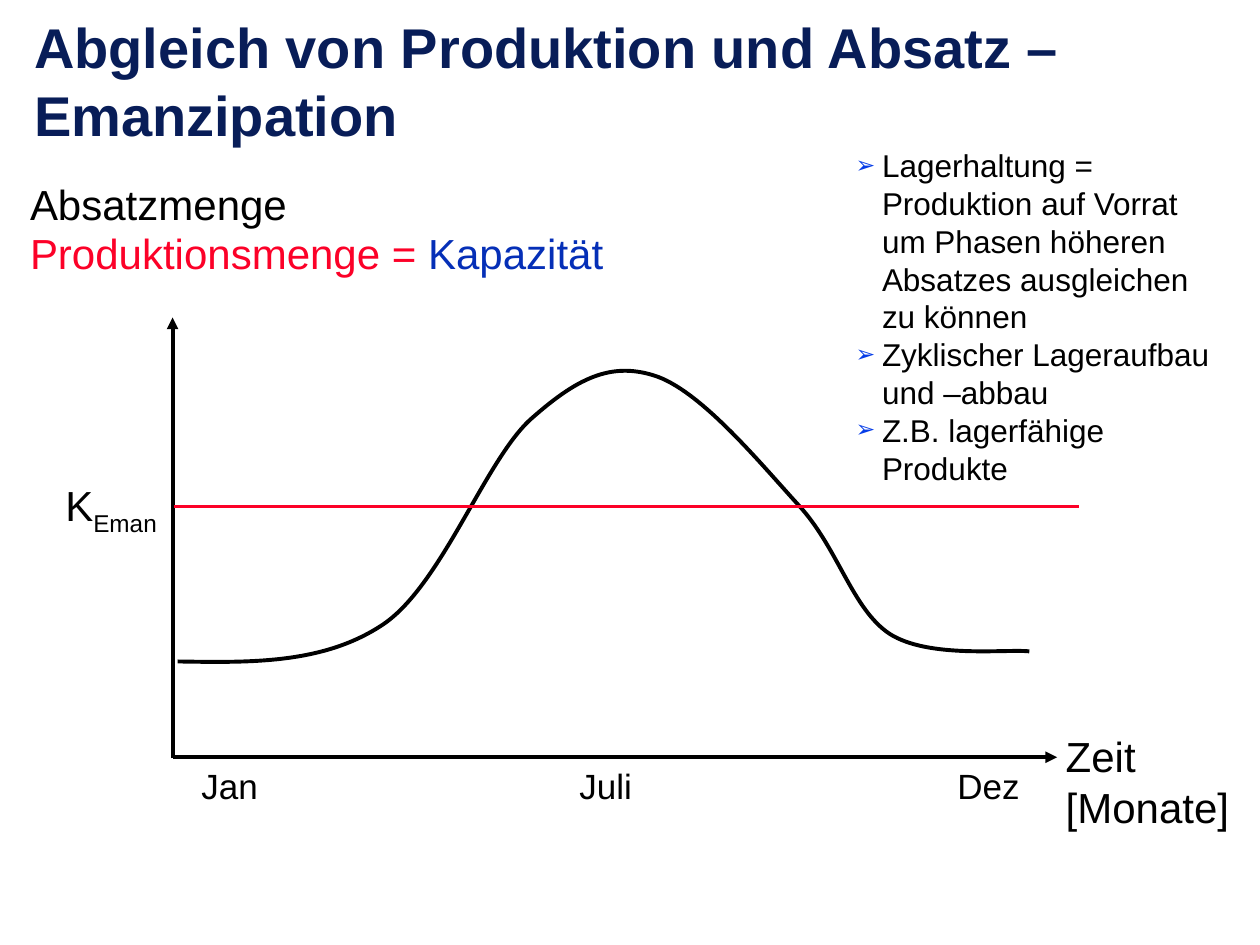
import pptx
import pptx.util
import pptx.dml.color
import pptx.enum.shapes
import pptx.enum.text
import pptx.oxml.ns
from lxml import etree

Inches, Pt = pptx.util.Inches, pptx.util.Pt
qn = pptx.oxml.ns.qn
Auto = pptx.enum.text.MSO_AUTO_SIZE

THEME = {
    "font": "Arial", "navy": "081D58", "black": "000000", "red": "FC0128",
    "blue": "052FB7", "mark": "063DE8",
    "title": 32, "large": 24, "label": 20, "list": 18, "line": 2.25,
}

TITLE = "Abgleich von Produktion und Absatz –Emanzipation"
POINTS = [
    "Lagerhaltung = Produktion auf Vorrat um Phasen höheren Absatzes ausgleichen zu können",
    "Zyklischer Lageraufbau und –abbau",
    "Z.B. lagerfähige Produkte",
]
# Each label: box, runs of (text, colour, baseline), size, wrap
LABELS = [
    ((8.36, 5.75, 1.54, 0.9), [("Zeit\n[Monate]", "black", 0)], "large", False),
    ((1.5, 6.02, 6.78, 0.44), [("Jan\tJuli\tDez", "black", 0)], "label", False),
    ((0.42, 3.76, 0.93, 0.56), [("K", "black", 0), ("Eman", "black", -25)], "large", False),
    ((0.14, 1.37, 3.17, 0.5), [("Absatzmenge", "black", 0)], "large", True),
    ((0.14, 1.76, 5.04, 0.5),
     [("Produktionsmenge = ", "red", 0), ("Kapazität", "blue", 0)], "large", True),
]
MONTHS = (3, 6)  # tab stops of the second and third month
# Each line: start, end, colour, arrowhead
AXES = [
    ((1.37, 6.01), (8.39, 6.01), "black", True),
    ((1.37, 6.02), (1.37, 2.52), "black", True),
]
LEVEL = ((1.38, 4.02), (8.56, 4.02), "red", False)
# Start, then two control points and an end for each curve segment
SALES = [
    (1.41, 5.25),
    (2, 5.26), (2.58, 5.27), (3.05, 4.95),
    (3.51, 4.63), (3.85, 3.66), (4.21, 3.33),
    (4.57, 3.01), (4.84, 2.87), (5.19, 2.98),
    (5.55, 3.09), (6.02, 3.66), (6.33, 4),
    (6.65, 4.34), (6.76, 4.83), (7.06, 5.03),
    (7.37, 5.23), (7.99, 5.15), (8.17, 5.17),
]


def color(name):
    return pptx.dml.color.RGBColor.from_string(THEME[name])


def place(shape, box):
    shape.left, shape.top, shape.width, shape.height = map(Inches, box)


def write(para, text, size="large", tone="black", bold=False, base=0):
    """Add text to a paragraph; a newline becomes a line break."""
    for i, part in enumerate(text.split("\n")):
        if i:
            para.add_line_break()
        run = para.add_run()
        run.text = part
        font = run.font
        font.name, font.size, font.bold = THEME["font"], Pt(THEME[size]), bold
        font.color.rgb = color(tone)
        if base:
            run._r.get_or_add_rPr().set("baseline", str(base * 1000))


def add_tabs(para, stops):
    tabs = etree.SubElement(para._p.get_or_add_pPr(), qn("a:tabLst"))
    for stop in stops:
        etree.SubElement(tabs, qn("a:tab"), pos=str(Inches(stop)), algn="l")


def add_mark(para):
    props = para._p.get_or_add_pPr()
    props.set("marL", str(Inches(0.21)))
    props.set("indent", str(Inches(-0.21)))
    tint = etree.SubElement(props, qn("a:buClr"))
    etree.SubElement(tint, qn("a:srgbClr"), val=THEME["mark"])
    etree.SubElement(props, qn("a:buSzPct"), val="75000")
    etree.SubElement(props, qn("a:buFont"), typeface=THEME["font"])
    etree.SubElement(props, qn("a:buChar"), char="➢")


def add_line(shapes, start, end, tone, arrow):
    kind = pptx.enum.shapes.MSO_CONNECTOR.STRAIGHT
    line = shapes.add_connector(kind, *map(Inches, start + end))
    line.line.color.rgb = color(tone)
    line.line.width = Pt(THEME["line"])
    if arrow:
        etree.SubElement(line.line._get_or_add_ln(), qn("a:tailEnd"), type="triangle")
    etree.SubElement(line._element.spPr, qn("a:effectLst"))


def add_curve(shapes, points):
    """Build an outline and join each three points into a Bézier segment."""
    dots = [(Inches(x), Inches(y)) for x, y in points]
    pen = shapes.build_freeform(*dots[0])
    pen.add_line_segments(dots[1:], close=False)
    curve = pen.convert_to_shape()
    steps = list(curve._element.iter(qn("a:lnTo")))
    for i in range(0, len(steps), 3):
        bend = etree.Element(qn("a:cubicBezTo"))
        steps[i].addprevious(bend)
        for step in steps[i:i + 3]:
            bend.append(step[0])
            step.getparent().remove(step)
    curve.fill.background()
    curve.line.color.rgb = color("black")
    curve.line.width = Pt(THEME["line"])
    curve.shadow.inherit = False


def main():
    deck = pptx.Presentation()
    deck.slide_width, deck.slide_height = Inches(10), Inches(7.5)
    slide = deck.slides.add_slide(deck.slide_layouts[1])
    shapes = slide.shapes

    title, body = shapes.title, slide.placeholders[1]
    place(title, (0.17, 0.12, 9, 1.1))
    frame = title.text_frame
    frame.auto_size = Auto.NONE
    frame.vertical_anchor = pptx.enum.text.MSO_ANCHOR.BOTTOM
    frame.paragraphs[0].alignment = pptx.enum.text.PP_ALIGN.LEFT
    write(frame.paragraphs[0], TITLE, size="title", tone="navy", bold=True)

    for axis in AXES:
        add_line(shapes, *axis)
    add_curve(shapes, SALES)
    add_line(shapes, *LEVEL)

    place(body, (6.69, 1.11, 3.11, 2.8))
    frame = body.text_frame
    frame.auto_size = Auto.SHAPE_TO_FIT_TEXT
    for i, point in enumerate(POINTS):
        para = frame.add_paragraph() if i else frame.paragraphs[0]
        add_mark(para)
        para.space_before = Pt(0)
        write(para, point, size="list")

    for box, runs, size, wrap in LABELS:
        frame = shapes.add_textbox(*map(Inches, box)).text_frame
        frame.word_wrap = wrap
        frame.auto_size = Auto.SHAPE_TO_FIT_TEXT
        para = frame.paragraphs[0]
        if "\t" in runs[0][0]:
            add_tabs(para, MONTHS)
        for text, tone, base in runs:
            write(para, text, size=size, tone=tone, base=base)

    deck.save("out.pptx")


if __name__ == "__main__":
    main()
